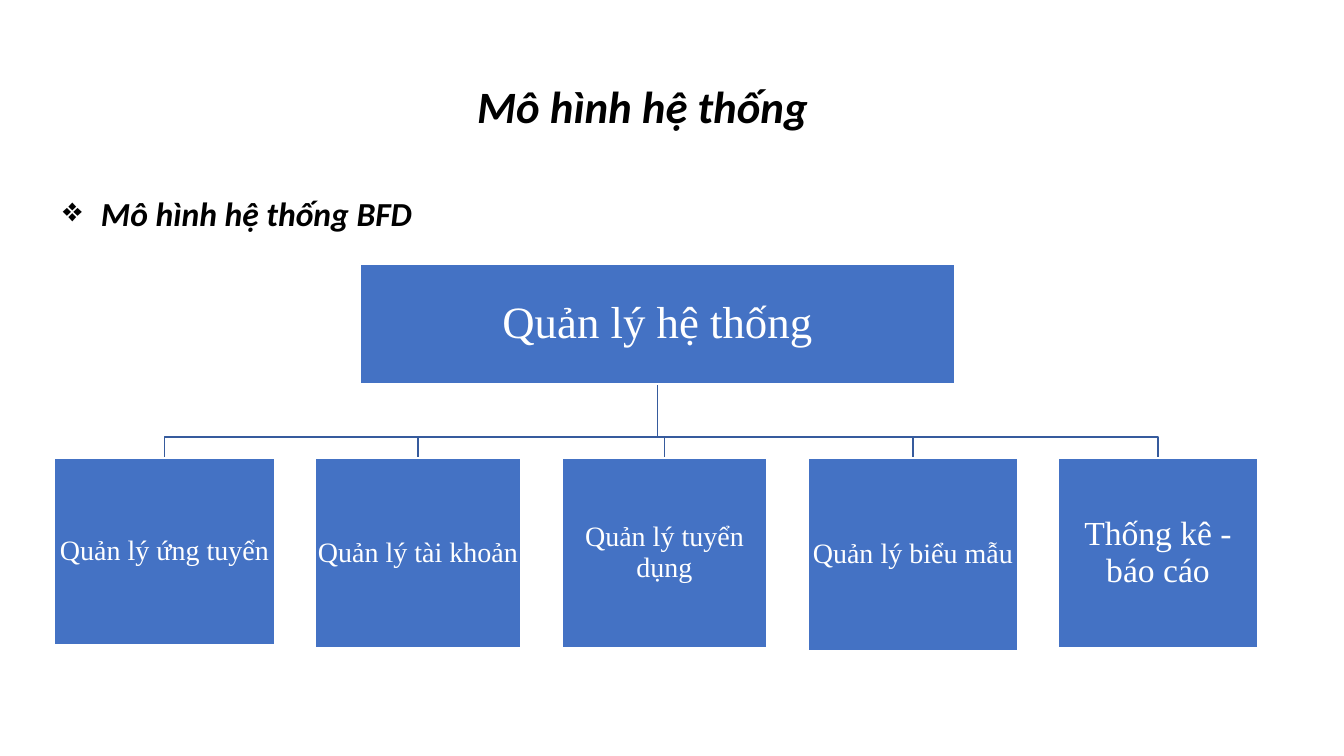
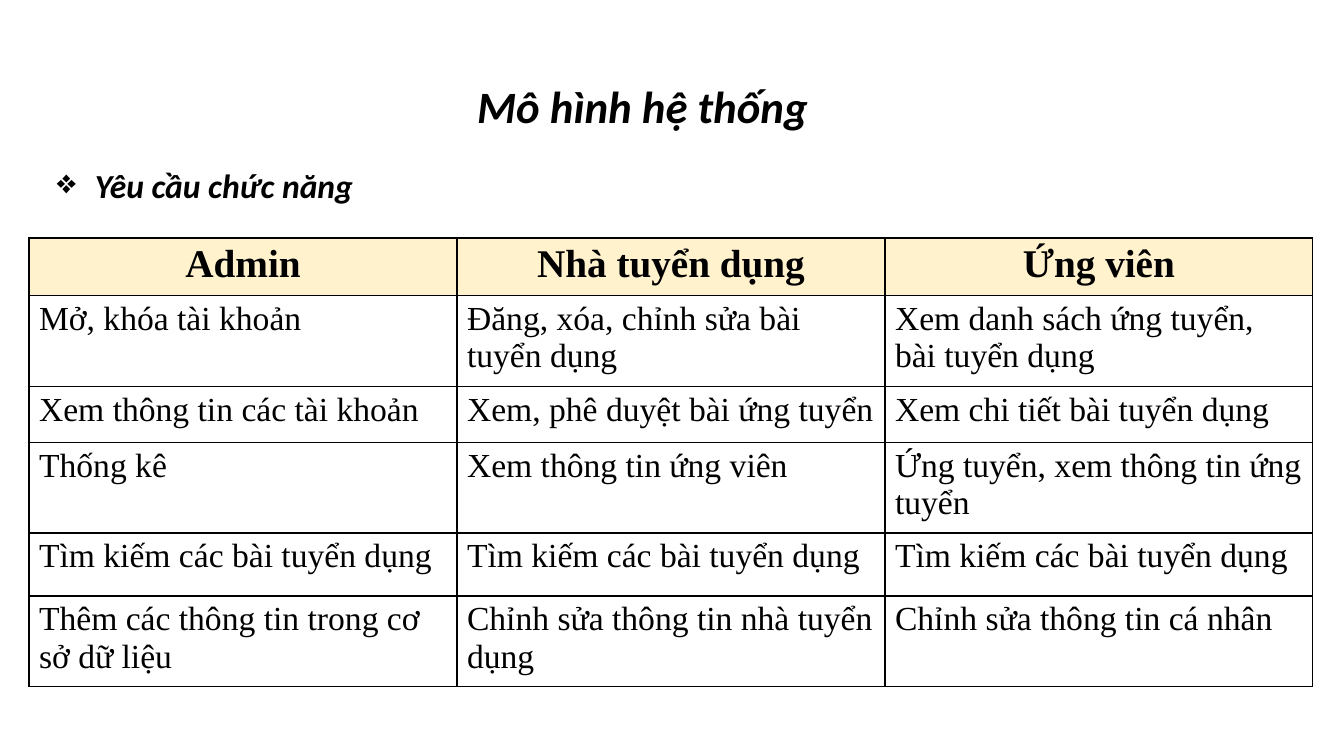
"""Build two slides on the system model: a function tree and a table of functions by role."""
import lxml.etree
import pptx
import pptx.dml.color
import pptx.enum.shapes
import pptx.enum.text
import pptx.oxml
import pptx.oxml.ns
import pptx.util

PX = 12192000 / 1344
BLACK = pptx.dml.color.RGBColor(0x00, 0x00, 0x00)
WHITE = pptx.dml.color.RGBColor(0xFF, 0xFF, 0xFF)
BLUE = pptx.dml.color.RGBColor(0x44, 0x72, 0xC4)
DARK_BLUE = pptx.dml.color.RGBColor(0x36, 0x5B, 0x9D)
CREAM = pptx.dml.color.RGBColor(0xFF, 0xF2, 0xCC)
HEADING_FONT = "Calibri"
BODY_FONT = "Times New Roman"
ALIGN = pptx.enum.text.PP_ALIGN
ANCHOR = pptx.enum.text.MSO_ANCHOR


def px(*lengths):
    """Turn px lengths into EMU."""
    return [pptx.util.Emu(round(length * PX)) for length in lengths]


def write(frame, text, *, size, font=BODY_FONT, color=BLACK, bold=False, italic=False,
          align=ALIGN.LEFT, anchor=ANCHOR.TOP, spacing=None, inset=None):
    """Put formatted text in a frame and return its paragraph."""
    frame.word_wrap = True
    frame.vertical_anchor = anchor
    if inset is not None:
        frame.margin_left, frame.margin_top, frame.margin_right, frame.margin_bottom = px(*[inset] * 4)
    para = frame.paragraphs[0]
    para.alignment = align
    para.line_spacing = spacing
    span = para.add_run()
    span.text = text
    span.font.name = font
    span.font.size = pptx.util.Pt(size)
    span.font.color.rgb = color
    span.font.bold = bold
    span.font.italic = italic
    return para


deck = pptx.Presentation()
deck.slide_width, deck.slide_height = px(1344, 756)

SUBHEADINGS = [
    ("Mô hình hệ thống BFD", (53, 188, 426, 50)),
    ("Yêu cầu chức năng", (47, 160, 371, 50)),
]
pages = []
for subheading, place in SUBHEADINGS:
    page = deck.slides.add_slide(deck.slide_layouts[5])
    pages.append(page)

    title = page.shapes.title
    title.left, title.top, title.width, title.height = px(467, 74, 410, 65)
    title.text_frame.auto_size = pptx.enum.text.MSO_AUTO_SIZE.NONE
    write(title.text_frame, "Mô hình hệ thống", size=32, font=HEADING_FONT, bold=True, italic=True)

    box = page.shapes.add_textbox(*px(*place))
    para = write(box.text_frame, subheading, size=24, font=HEADING_FONT, bold=True, italic=True)
    indent = px(38)[0]
    properties = para._p.get_or_add_pPr()
    properties.set("marL", str(indent))
    properties.set("indent", str(-indent))
    bullet = lxml.etree.SubElement(properties, pptx.oxml.ns.qn("a:buChar"))
    bullet.set("char", "❖")

tree_page, table_page = pages

ROOT = ("Quản lý hệ thống", 360, 264, 595, 120, 32)
CHILD_TOP = 458
BRANCH_Y = 437
CHILDREN = [
    ("Quản lý ứng tuyển", 54, CHILD_TOP, 221, 187, 20),
    ("Quản lý tài khoản", 315, CHILD_TOP, 206, 190, 20),
    ("Quản lý tuyển dụng", 562, CHILD_TOP, 205, 190, 20),
    ("Quản lý biểu mẫu", 808, CHILD_TOP, 210, 193, 20),
    ("Thống kê - báo cáo", 1058, CHILD_TOP, 200, 190, 24),
]
root_x = ROOT[1] + ROOT[3] / 2
root_bottom = ROOT[2] + ROOT[4]

for label, left, top, width, height, size in CHILDREN:
    child_x = left + width / 2
    outline = tree_page.shapes.build_freeform(*px(root_x, root_bottom))
    corners = [(root_x, BRANCH_Y), (child_x, BRANCH_Y), (child_x, top)]
    outline.add_line_segments([px(*corner) for corner in corners], close=False)
    branch = outline.convert_to_shape()
    branch.shadow.inherit = False
    branch.fill.background()
    branch.line.color.rgb = DARK_BLUE
    branch.line.width = pptx.util.Pt(1)

for label, left, top, width, height, size in [ROOT] + CHILDREN:
    box = tree_page.shapes.add_shape(pptx.enum.shapes.MSO_SHAPE.RECTANGLE, *px(left, top, width, height))
    box.shadow.inherit = False
    box.fill.solid()
    box.fill.fore_color.rgb = BLUE
    box.line.color.rgb = WHITE
    box.line.width = pptx.util.Pt(1)
    write(box.text_frame, label, size=size, color=WHITE, align=ALIGN.CENTER,
          anchor=ANCHOR.MIDDLE, spacing=0.9, inset=1 if size == 20 else 2)

ROWS = [
    ("Admin", "Nhà tuyển dụng", "Ứng viên"),
    ("Mở, khóa tài khoản", "Đăng, xóa, chỉnh sửa bài tuyển dụng",
     "Xem danh sách ứng tuyển, bài tuyển dụng"),
    ("Xem thông tin các tài khoản", "Xem, phê duyệt bài ứng tuyển", "Xem chi tiết bài tuyển dụng"),
    ("Thống kê", "Xem thông tin ứng viên", "Ứng tuyển, xem thông tin ứng tuyển"),
    ("Tìm kiếm các bài tuyển dụng",) * 3,
    ("Thêm các thông tin trong cơ sở dữ liệu", "Chỉnh sửa thông tin nhà tuyển dụng",
     "Chỉnh sửa thông tin cá nhân"),
]
ROW_HEIGHTS = [57, 91, 56, 90, 63, 90]
COLUMN_WIDTH = 428
COLUMN_COUNT = len(ROWS[0])
BORDER = (
    '<a:{side} xmlns:a="http://schemas.openxmlformats.org/drawingml/2006/main" w="12700">'
    '<a:solidFill><a:srgbClr val="{color}"/></a:solidFill></a:{side}>'
)

frame = table_page.shapes.add_table(
    len(ROWS), COLUMN_COUNT, *px(29, 238, COLUMN_WIDTH * COLUMN_COUNT, sum(ROW_HEIGHTS)))
table = frame.table
table.first_row = False
table.horz_banding = False
for column in table.columns:
    column.width = px(COLUMN_WIDTH)[0]

for row_index, (texts, height) in enumerate(zip(ROWS, ROW_HEIGHTS)):
    table.rows[row_index].height = px(height)[0]
    header = row_index == 0
    for column_index, text in enumerate(texts):
        cell = table.cell(row_index, column_index)
        cell.fill.solid()
        cell.fill.fore_color.rgb = CREAM if header else WHITE
        write(cell.text_frame, text, size=28 if header else 24, bold=header,
              align=ALIGN.CENTER if header else ALIGN.LEFT)
        for position, side in enumerate(["lnL", "lnR", "lnT", "lnB"]):
            border = pptx.oxml.parse_xml(BORDER.format(side=side, color=BLACK))
            cell._tc.get_or_add_tcPr().insert(position, border)

deck.save("out.pptx")
